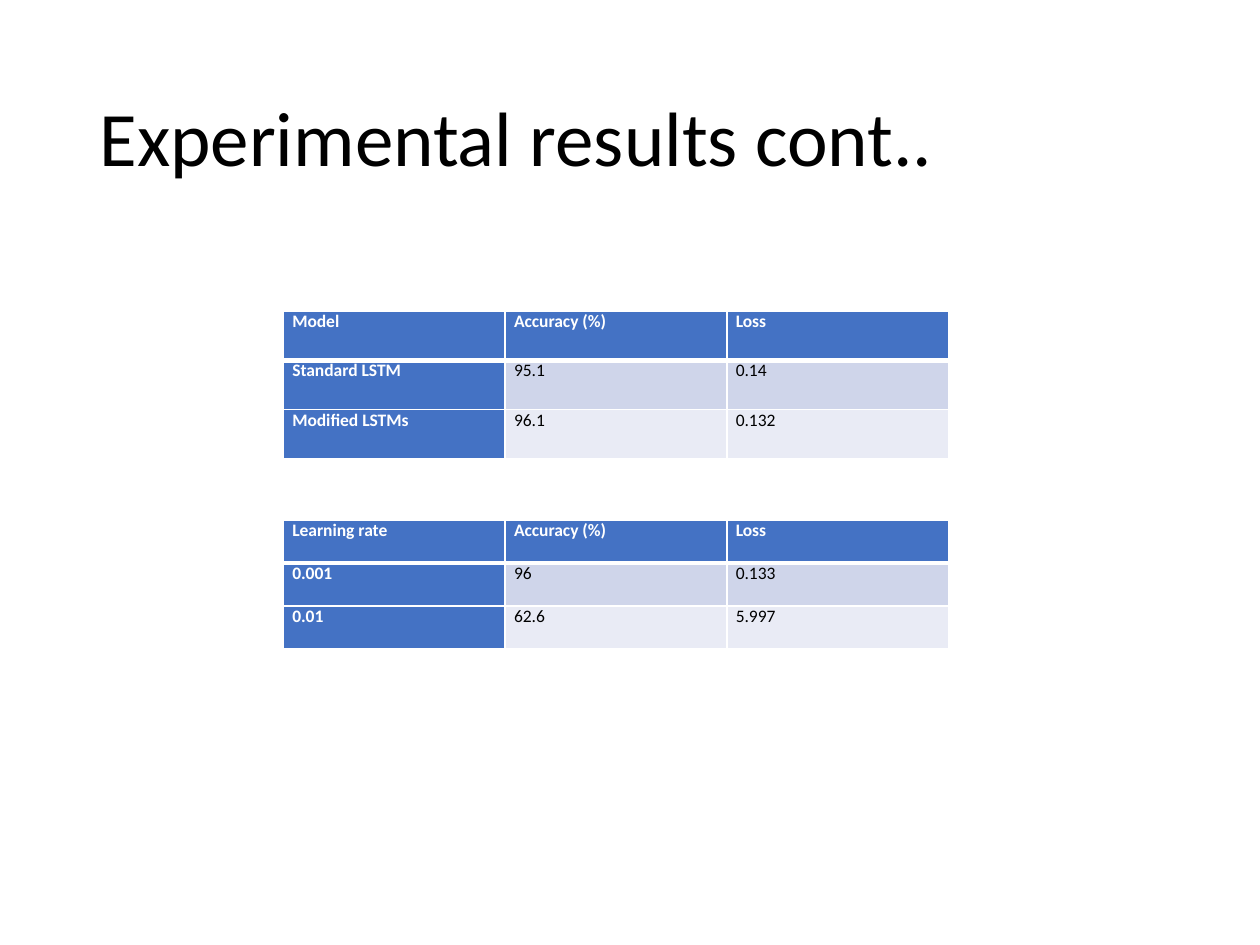
from lxml.etree import SubElement
from pptx import Presentation
from pptx.dml.color import RGBColor
from pptx.enum.text import MSO_ANCHOR, PP_ALIGN
from pptx.oxml.ns import qn
from pptx.util import Inches, Pt

BLACK = RGBColor(0x00, 0x00, 0x00)
WHITE = RGBColor(0xFF, 0xFF, 0xFF)
BLUE = RGBColor(0x44, 0x72, 0xC4)
BANDS = [RGBColor(0xCF, 0xD5, 0xEA), RGBColor(0xE9, 0xEB, 0xF5)]
FONT = "Calibri"

TABLE_LEFT = 2.25
COLUMN_WIDTH = 1.76

MODEL_RESULTS = [
    ["Model", "Accuracy (%)", "Loss"],
    ["Standard LSTM", "95.1", "0.14"],
    ["Modified LSTMs", "96.1", "0.132"],
]
LEARNING_RATE_RESULTS = [
    ["Learning rate", "Accuracy (%)", "Loss"],
    ["0.001", "96", "0.133"],
    ["0.01", "62.6", "5.997"],
]


def set_font(paragraph, size, color, bold=False):
    font = paragraph.font
    font.name = FONT
    font.size = Pt(size)
    font.bold = bold
    font.color.rgb = color


def add_title(slide, text):
    title = slide.shapes.title
    title.left, title.top = Inches(0.69), Inches(0.4)
    title.width, title.height = Inches(8.62), Inches(1.45)
    frame = title.text_frame
    frame.text = text
    frame.word_wrap = True
    frame.vertical_anchor = MSO_ANCHOR.MIDDLE
    paragraph = frame.paragraphs[0]
    paragraph.alignment = PP_ALIGN.LEFT
    paragraph.line_spacing = 0.9
    set_font(paragraph, 44, BLACK)


def set_borders(cell, top, bottom):
    properties = cell._tc.get_or_add_tcPr()
    widths = {"a:lnL": 1, "a:lnR": 1, "a:lnT": top, "a:lnB": bottom}
    for tag, width in widths.items():
        line = SubElement(properties, qn(tag), w=str(Pt(width)))
        fill = SubElement(line, qn("a:solidFill"))
        SubElement(fill, qn("a:srgbClr"), val=str(WHITE))


def format_cell(cell, text, row, column):
    heading = row == 0 or column == 0
    set_borders(cell, 3 if row == 1 else 1, 3 if row == 0 else 1)
    cell.fill.solid()
    cell.fill.fore_color.rgb = BLUE if heading else BANDS[(row - 1) % 2]
    cell.margin_left = cell.margin_right = Inches(0.07)
    cell.margin_top = cell.margin_bottom = 0
    cell.text = text
    paragraph = cell.text_frame.paragraphs[0]
    paragraph.alignment = PP_ALIGN.JUSTIFY
    set_font(paragraph, 10, WHITE if heading else BLACK, heading)


def add_results_table(slide, top, row_height, rows):
    columns = len(rows[0])
    table = slide.shapes.add_table(
        len(rows), columns, Inches(TABLE_LEFT), Inches(top),
        Inches(COLUMN_WIDTH * columns), Inches(row_height * len(rows)),
    ).table
    table.first_col = True
    for row, texts in enumerate(rows):
        for column, text in enumerate(texts):
            format_cell(table.cell(row, column), text, row, column)


def main():
    presentation = Presentation()
    presentation.slide_width = Inches(10)
    presentation.slide_height = Inches(7.5)
    slide = presentation.slides.add_slide(presentation.slide_layouts[5])
    add_title(slide, "Experimental results cont..")
    add_results_table(slide, 2.47, 0.39, MODEL_RESULTS)
    add_results_table(slide, 4.13, 0.34, LEARNING_RATE_RESULTS)
    presentation.save("out.pptx")


main()
